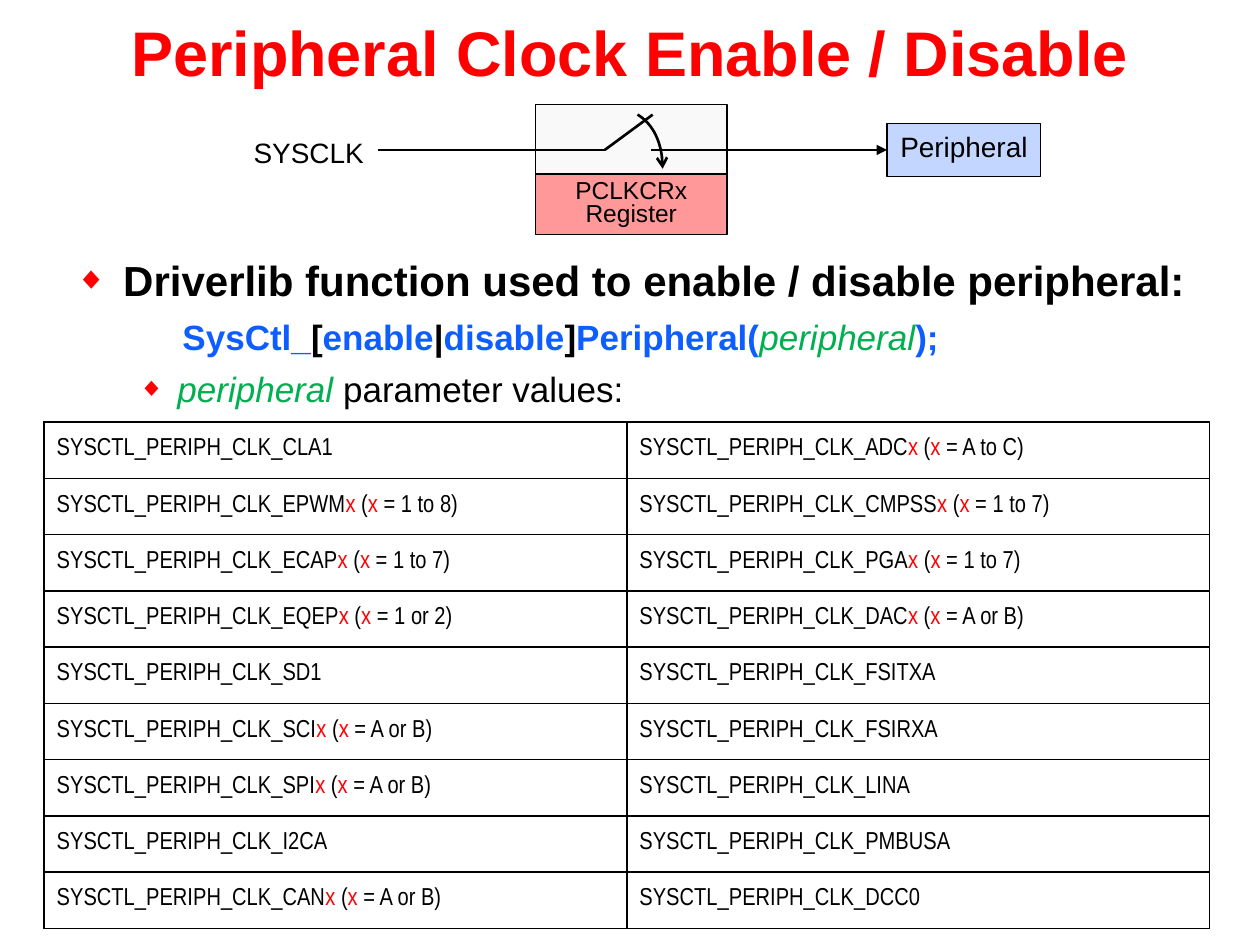
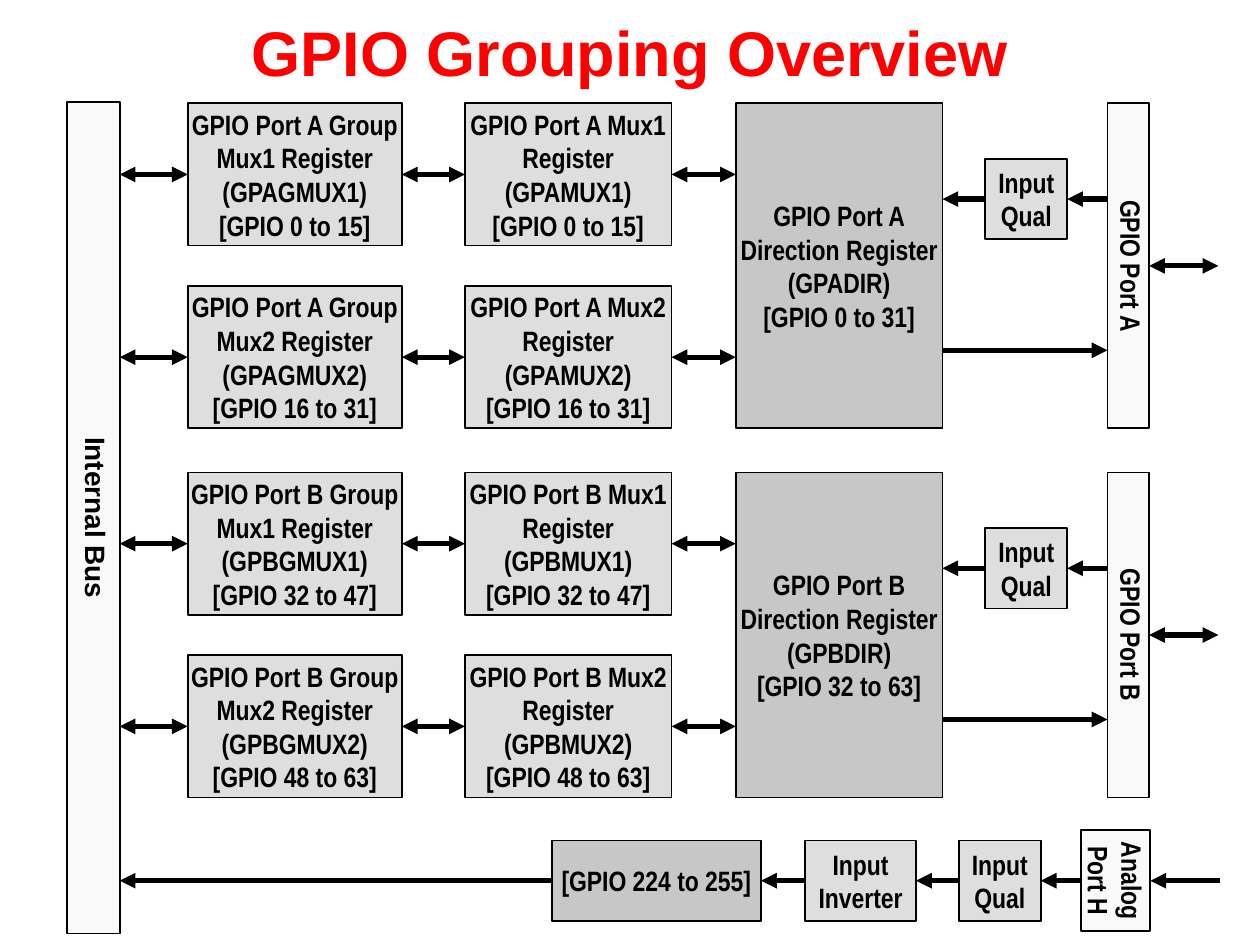
from dataclasses import dataclass

from lxml.etree import SubElement as Sub
from pptx import Presentation
from pptx.dml.color import RGBColor as Rgb
from pptx.enum.shapes import MSO_CONNECTOR as Conn, MSO_SHAPE as Kind
from pptx.enum.text import MSO_ANCHOR as Anchor, PP_ALIGN as Align
from pptx.oxml.ns import qn
from pptx.util import Inches, Pt


@dataclass(frozen=True)
class Theme:
    """Colours, fonts and type sizes of the deck."""
    red: str = "FF0000"
    black: str = "000000"
    white: str = "FFFFFF"
    blue: str = "0D5DFF"
    green: str = "00B050"
    pale: str = "F9F9F9"
    light: str = "DEDEDE"
    gray: str = "C7C7C7"
    sky: str = "C2D6FF"
    pink: str = "FF9999"
    sans: str = "Arial"
    slim: str = "Arial Narrow"
    title: int = 36
    head: int = 24
    body: int = 20
    label: int = 16
    small: int = 14


T = Theme()
CLOCKS = [
    ("CLA1", "ADC|A to C"),
    ("EPWM|1 to 8", "CMPSS|1 to 7"),
    ("ECAP|1 to 7", "PGA|1 to 7"),
    ("EQEP|1 or 2", "DAC|A or B"),
    ("SD1", "FSITXA"),
    ("SCI|A or B", "FSIRXA"),
    ("SPI|A or B", "LINA"),
    ("I2CA", "PMBUSA"),
    ("CAN|A or B", "DCC0"),
]


def write(frame, lines, font=T.sans, size=T.label, color=T.black, bold=False,
          italic=False, align=Align.CENTER, space=1.0, before=0):
    """Fill a frame; a line is a string or a list of (text, changes) runs."""
    for num, line in enumerate(lines):
        para = frame.paragraphs[0] if num == 0 else frame.add_paragraph()
        para.alignment, para.line_spacing = align, space
        para.space_before = Pt(before)
        for text, change in [(line, {})] if isinstance(line, str) else line:
            look = dict(size=size, color=color, bold=bold, italic=italic) | change
            run = para.add_run()
            run.text = text
            run.font.name, run.font.size = font, Pt(look["size"])
            run.font.bold, run.font.italic = look["bold"], look["italic"]
            run.font.color.rgb = Rgb.from_string(look["color"])


def setup(frame, wrap=True, inset=(0.1, 0.05), anchor=Anchor.MIDDLE):
    """Set wrapping, margins and anchor of a frame."""
    frame.word_wrap, frame.vertical_anchor = wrap, anchor
    frame.margin_left = frame.margin_right = Inches(inset[0])
    frame.margin_top = frame.margin_bottom = Inches(inset[1])


def stroke(item, width, tail=None, head=None):
    """Draw a black line with optional arrowheads."""
    item.line.color.rgb = Rgb.from_string(T.black)
    item.line.width = Pt(width)
    line = item.element.spPr.find(qn("a:ln"))
    for tag, kind in (("a:headEnd", head), ("a:tailEnd", tail)):
        if kind:
            Sub(line, qn(tag), type=kind)


def block(slide, at, fill, lines=(), width=1, **fmt):
    """Add an outlined rectangle with centred text."""
    shape = slide.shapes.add_shape(Kind.RECTANGLE, *map(Inches, at))
    shape.shadow.inherit = False
    shape.fill.solid()
    shape.fill.fore_color.rgb = Rgb.from_string(fill)
    stroke(shape, width)
    setup(shape.text_frame, wrap=False)
    write(shape.text_frame, lines, **fmt)
    return shape


def label(slide, at, lines, turn=0, wrap=True, inset=(0.1, 0.05),
          anchor=Anchor.MIDDLE, **fmt):
    """Add a text box."""
    box = slide.shapes.add_textbox(*map(Inches, at))
    box.rotation = turn
    setup(box.text_frame, wrap, inset, anchor)
    write(box.text_frame, lines, **fmt)
    return box


def bar(slide, at, lines, thick=0.32, **fmt):
    """Add an upright bar whose text reads downwards."""
    shape = block(slide, at, T.pale)
    left, top, wide, tall = at
    spot = (left + (wide - tall) / 2, top + (tall - thick) / 2, tall, thick)
    label(slide, spot, lines, turn=90, inset=(0, 0.05), bold=True, **fmt)
    return shape


def point(end):
    """Give the place of an end: an (x, y) pair or a (shape, side) pair."""
    if isinstance(end[0], (int, float)):
        return Inches(end[0]), Inches(end[1])
    shape, side = end
    left = shape.left + (shape.width if side == 3 else 0)
    return left, shape.top + shape.height // 2


def link(slide, start, stop, width=3, tail="triangle", head=None):
    """Join two ends with a straight connector."""
    line = slide.shapes.add_connector(Conn.STRAIGHT, *point(start), *point(stop))
    for end, join in ((start, line.begin_connect), (stop, line.end_connect)):
        if not isinstance(end[0], (int, float)):
            join(*end)
    stroke(line, width, tail, head)
    Sub(line.element.spPr, qn("a:effectLst"))


def both(slide, start, stop):
    """Join two ends with a double arrow."""
    link(slide, start, stop, head="triangle")


def curve(slide, knots, width):
    """Draw a cubic curve through its four control points, with an arrow."""
    def place(t):
        parts = ((1 - t) ** 3, 3 * t * (1 - t) ** 2, 3 * t * t * (1 - t), t ** 3)
        return tuple(Inches(sum(p * k[axis] for p, k in zip(parts, knots)))
                     for axis in (0, 1))

    dots = [place(step / 16) for step in range(17)]
    form = slide.shapes.build_freeform(*dots[0])
    form.add_line_segments(dots[1:], close=False)
    shape = form.convert_to_shape()
    shape.shadow.inherit = False
    shape.fill.background()
    stroke(shape, width, tail="arrow")


def indent(para, left, bullet=0):
    """Indent a paragraph, with a red diamond hanging by the bullet width."""
    props = para._p.get_or_add_pPr()
    props.set("marL", str(Inches(left)))
    props.set("indent", str(-Inches(bullet)))
    if bullet:
        Sub(Sub(props, qn("a:buClr")), qn("a:srgbClr"), val=T.red)
        Sub(props, qn("a:buSzPct"), val="75000")
        Sub(props, qn("a:buFont"), typeface=T.sans)
        Sub(props, qn("a:buChar"), char="◆")


def frame_cell(cell):
    """Give a table cell thin black borders."""
    props = cell._tc.get_or_add_tcPr()
    for num, edge in enumerate(("a:lnL", "a:lnR", "a:lnT", "a:lnB")):
        line = Sub(props, qn(edge), w=str(Pt(1)))
        Sub(Sub(line, qn("a:solidFill")), qn("a:srgbClr"), val=T.black)
        props.insert(num, line)


def clock_runs(code):
    """Spell out a clock name, with its index letter in red."""
    name, _, span = code.partition("|")
    runs = [("SYSCTL_PERIPH_CLK_" + name, {})]
    if span:
        mark = ("x", {"color": T.red})
        runs += [mark, (" (", {}), mark, (f" = {span})", {})]
    return runs


def grid(slide, rows, at):
    """Add the table of clock names."""
    table = slide.shapes.add_table(len(rows), 2, *map(Inches, at)).table
    table.first_row = table.horz_banding = False
    for row, codes in enumerate(rows):
        for col, code in enumerate(codes):
            cell = table.cell(row, col)
            cell.fill.solid()
            cell.fill.fore_color.rgb = Rgb.from_string(T.white)
            cell.vertical_anchor = Anchor.MIDDLE
            frame_cell(cell)
            write(cell.text_frame, [clock_runs(code)], font=T.slim,
                  size=T.small, align=Align.LEFT, space=0.8)


def page(deck, title):
    """Add a slide with the shared title style."""
    slide = deck.slides.add_slide(deck.slide_layouts[5])
    head = slide.shapes.title
    head.left, head.top, head.width, head.height = map(Inches, (0, 0, 10, 0.81))
    setup(head.text_frame)
    write(head.text_frame, [title], size=T.title, color=T.red, bold=True)
    return slide


def switch(slide):
    """Draw the clock switch and its register."""
    mid = 1.19
    block(slide, (4.25, 0.83, 1.52, 1.02), T.pale)
    curve(slide, [(5.06, 0.91), (5.18, 0.98), (5.26, 1.13), (5.26, 1.34)], 1.5)
    for start, stop in (((3, mid), (4.8, mid)), ((4.8, mid), (5.18, 0.91))):
        link(slide, start, stop, 1.5, tail=None)
    label(slide, (1.91, 0.99, 1.08, 0.39), ["SYSCLK"], wrap=False, space=1.2)
    unit = block(slide, (7.04, 0.98, 1.22, 0.42), T.sky, ["Peripheral"],
                 width=0.75, space=0.8)
    block(slide, (4.25, 1.38, 1.52, 0.48), T.pink, ["PCLKCRx", "Register"],
          width=0.75, size=T.small, space=0.8)
    link(slide, (5.17, mid), (unit, 1), 1.5)


def usage(slide):
    """Write the driver call and its parameter."""
    blue = {"color": T.blue, "bold": True}
    bold = {"bold": True}
    slant = {"color": T.green, "italic": True}
    call = [("SysCtl_", blue), ("[", bold), ("enable", blue), ("|", bold),
            ("disable", blue), ("]", bold), ("Peripheral(", blue),
            ("peripheral", slant), (");", blue)]
    lead = "Driverlib function used to enable / disable peripheral:"
    box = label(slide, (0.5, 1.97, 9.04, 1.38), [
        [(lead, {"size": T.head, "bold": True})],
        call,
        [("peripheral ", slant), ("parameter values:", {})],
    ], anchor=Anchor.TOP, size=T.body, align=Align.LEFT, before=6)
    paras = box.text_frame.paragraphs
    paras[2].level = 1
    for para, left, hang in zip(paras, (0.38, 0.85, 0.81), (0.38, 0, 0.31)):
        indent(para, left, hang)


def port(slide, name, top, first):
    """Draw the registers and pins of one GPIO port."""
    slim = dict(font=T.slim, bold=True)
    way = block(slide, (5.84, top, 1.64, 2.58), T.gray, [
        f"GPIO Port {name}", "Direction Register", f"(GP{name}DIR)",
        f"[GPIO {first} to {first + 31}]"], **slim)
    pins = bar(slide, (8.79, top, 0.33, 2.58), [f"GPIO Port {name}"],
               font=T.slim, space=0.8)
    for num in (1, 2):
        high = top + 1.45 * (num - 1)
        mid = high + 1.13 / 2
        low = first + 16 * (num - 1)
        span = f"[GPIO {low} to {low + 15}]"
        group = block(slide, (1.49, high, 1.7, 1.13), T.light, [
            f"GPIO Port {name} Group", f"Mux{num} Register",
            f"(GP{name}GMUX{num})", span], **slim)
        mux = block(slide, (3.69, high, 1.64, 1.13), T.light, [
            f"GPIO Port {name} Mux{num}", "Register",
            f"(GP{name}MUX{num})", span], **slim)
        both(slide, (0.95, mid), (group, 1))
        both(slide, (group, 3), (mux, 1))
        both(slide, (mux, 3), (5.84, mid))
    qual = block(slide, (7.82, top + 0.44, 0.65, 0.64), T.light,
                 ["Input", "Qual"], **slim)
    link(slide, (8.79, top + 0.76), (qual, 3))
    link(slide, (qual, 1), (way.left.inches + 1.64, top + 0.76))
    link(slide, (7.48, top + 1.96), (8.79, top + 1.96))
    both(slide, (pins, 3), (9.67, top + 1.29))


def analog(slide):
    """Draw the input chain of the analog port."""
    mid = 6.99
    last = bar(slide, (8.58, mid - 0.4, 0.55, 0.8), ["Analog", "Port H"],
               thick=0.64, font=T.slim)
    link(slide, (9.68, mid), (last, 3))
    for left, wide, fill, lines in (
            (7.61, 0.65, T.light, ["Input", "Qual"]),
            (6.39, 0.88, T.light, ["Input", "Inverter"]),
            (4.38, 1.66, T.gray, ["[GPIO 224 to 255]"])):
        step = block(slide, (left, mid - 0.32, wide, 0.64), fill, lines,
                     font=T.slim, bold=True)
        link(slide, (last, 1), (step, 3))
        last = step
    link(slide, (last, 1), (0.95, mid))


def main():
    """Build both slides and save them."""
    deck = Presentation()
    deck.slide_width, deck.slide_height = Inches(10), Inches(7.5)

    clock = page(deck, "Peripheral Clock Enable / Disable")
    grid(clock, CLOCKS, (0.35, 3.35, 9.25, 4.02))
    switch(clock)
    usage(clock)

    gpio = page(deck, "GPIO Grouping Overview")
    bar(gpio, (0.53, 0.81, 0.42, 6.6), ["Internal Bus"], space=0.8)
    port(gpio, "A", 0.82, 0)
    port(gpio, "B", 3.75, 32)
    analog(gpio)
    deck.save("out.pptx")


if __name__ == "__main__":
    main()
